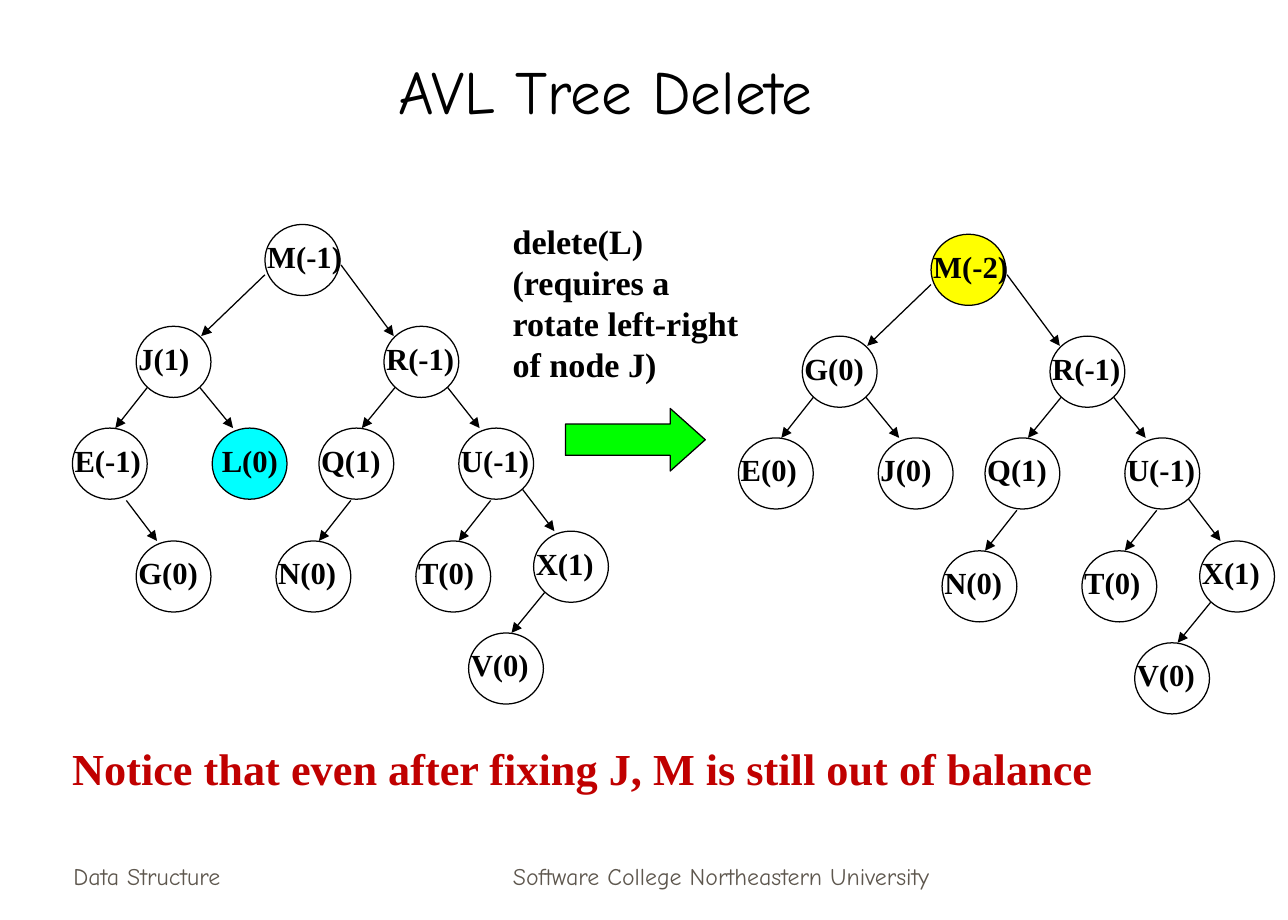
import dataclasses

import pptx
import pptx.dml.color
import pptx.enum.shapes
import pptx.enum.text
import pptx.oxml.ns
import pptx.util
from lxml import etree
from pptx.util import Inches

SHAPES = pptx.enum.shapes.MSO_SHAPE
ALIGN = pptx.enum.text.PP_ALIGN
ANCHOR = pptx.enum.text.MSO_ANCHOR


@dataclasses.dataclass(frozen=True)
class Theme:
    display_font: str = "Comic Neue"
    body_font: str = "Times New Roman"
    ink: str = "000000"
    footer: str = "5E574E"
    notice: str = "C00000"
    deleted: str = "00FFFF"
    unbalanced: str = "FFFF00"
    arrow: str = "00FF00"
    title_size: int = 36
    notice_size: int = 26
    step_size: int = 20
    node_size: int = 18
    footer_size: int = 14
    line_width: float = 0.75


THEME = Theme()
NODE_WIDTH, NODE_HEIGHT = 0.61, 0.58

# Each key is the route of left and right turns from the root.
SLOTS = {
    "": (2.16, 1.83),
    "L": (1.11, 2.66),
    "R": (3.13, 2.66),
    "LL": (0.59, 3.49),
    "LR": (1.73, 3.49),
    "RL": (2.6, 3.49),
    "RR": (3.74, 3.49),
    "LLR": (1.11, 4.41),
    "RLL": (2.25, 4.41),
    "RRL": (3.39, 4.41),
    "RRR": (4.35, 4.33),
    "RRRL": (3.82, 5.16),
}
RIGHT_SUBTREE = {
    "R": "R(-1)", "RL": "Q(1)", "RR": "U(-1)", "RLL": "N(0)",
    "RRL": "T(0)", "RRR": "X(1)", "RRRL": "V(0)",
}
BEFORE = {"": "M(-1)", "L": "J(1)", "LL": "E(-1)", "LR": "L(0)",
          "LLR": "G(0)", **RIGHT_SUBTREE}
AFTER = {"": "M(-2)", "L": "G(0)", "LL": "E(0)", "LR": "J(0)", **RIGHT_SUBTREE}


def rgb(color):
    return pptx.dml.color.RGBColor.from_string(color)


def add_text(slide, box, text, size, font=THEME.body_font, color=THEME.ink,
             bold=True, align=ALIGN.LEFT, anchor=ANCHOR.TOP):
    shape = slide.shapes.add_textbox(*map(Inches, box))
    frame = shape.text_frame
    frame.word_wrap = True
    frame.vertical_anchor = anchor
    frame.text = text
    for paragraph in frame.paragraphs:
        paragraph.alignment = align
        for run in paragraph.runs:
            run.font.name = font
            run.font.size = pptx.util.Pt(size)
            run.font.bold = bold
            run.font.color.rgb = rgb(color)


def add_outlined_shape(slide, kind, box, fill=None):
    shape = slide.shapes.add_shape(kind, *map(Inches, box))
    shape.shadow.inherit = False
    if fill:
        shape.fill.solid()
        shape.fill.fore_color.rgb = rgb(fill)
    else:
        shape.fill.background()
    shape.line.color.rgb = rgb(THEME.ink)
    shape.line.width = pptx.util.Pt(THEME.line_width)
    return shape


def add_node(slide, left, top, label, fill, label_shift):
    add_outlined_shape(slide, SHAPES.OVAL, (left, top, NODE_WIDTH, NODE_HEIGHT), fill)
    label_width = 0.83 if len(label) > 4 else 0.7
    add_text(slide, (left + label_shift, top + 0.06, label_width, 0.4),
             label, THEME.node_size)


def add_arrow(slide, start, end):
    connector = slide.shapes.add_connector(
        pptx.enum.shapes.MSO_CONNECTOR.STRAIGHT, *map(Inches, (*start, *end)))
    connector.line.color.rgb = rgb(THEME.ink)
    connector.line.width = pptx.util.Pt(THEME.line_width)
    qn = pptx.oxml.ns.qn
    etree.SubElement(connector.line._get_or_add_ln(), qn("a:tailEnd"), type="triangle")
    etree.SubElement(connector._element.spPr, qn("a:effectLst"))


def edge_offsets(route):
    is_left = route[-1] == "L"
    if len(route) == 1:
        return ((0, 0.41), (0.53, 0.08)) if is_left else ((0.62, 0.33), (0.08, 0.08))
    end = (0.35 if is_left else 0.17, 0)
    drop = SLOTS[route][1] - SLOTS[route[:-1]][1]
    if drop > 0.9:
        return (0.26 if is_left else 0.44, 0.59), end
    return (0.09 if is_left else 0.52, 0.5), end


def add_tree(slide, labels, origin, fills, shifts):
    def place(route, offset=(0, 0)):
        return tuple(sum(parts) for parts in zip(SLOTS[route], origin, offset))

    for route, label in labels.items():
        add_node(slide, *place(route), label, fills.get(route), shifts.get(route, -0.08))
        if route:
            start, end = edge_offsets(route)
            add_arrow(slide, place(route[:-1], start), place(route, end))


def main():
    presentation = pptx.Presentation()
    presentation.slide_width = Inches(10.5)
    presentation.slide_height = Inches(7.5)
    slide = presentation.slides.add_slide(presentation.slide_layouts[6])

    add_text(slide, (0.47, 0.25, 8.93, 0.83), "AVL Tree Delete", THEME.title_size,
             THEME.display_font, bold=False, align=ALIGN.CENTER, anchor=ANCHOR.BOTTOM)
    add_tree(slide, BEFORE, (0, 0), {"LR": THEME.deleted}, {"LR": -0.02})
    add_tree(slide, AFTER, (5.43, 0.08), {"": THEME.unbalanced}, {})

    arrow = add_outlined_shape(slide, SHAPES.RIGHT_ARROW, (4.61, 3.33, 1.14, 0.51),
                               THEME.arrow)
    arrow.adjustments[1] = 0.56
    add_text(slide, (4.08, 1.75, 3.25, 1.44),
             "delete(L)\n(requires a\nrotate left-right\nof node J)", THEME.step_size)
    add_text(slide, (0.49, 5.99, 8.8, 0.54),
             "Notice that even after fixing J, M is still out of balance",
             THEME.notice_size, color=THEME.notice)

    for left, width, text, align in (
        (0.5, 2.19, "Data Structure", ALIGN.LEFT),
        (3.59, 4.58, "Software College Northeastern University", ALIGN.CENTER),
    ):
        add_text(slide, (left, 6.81, width, 0.5), text, THEME.footer_size,
                 THEME.display_font, THEME.footer, False, align, ANCHOR.BOTTOM)

    presentation.save("out.pptx")


if __name__ == "__main__":
    main()
